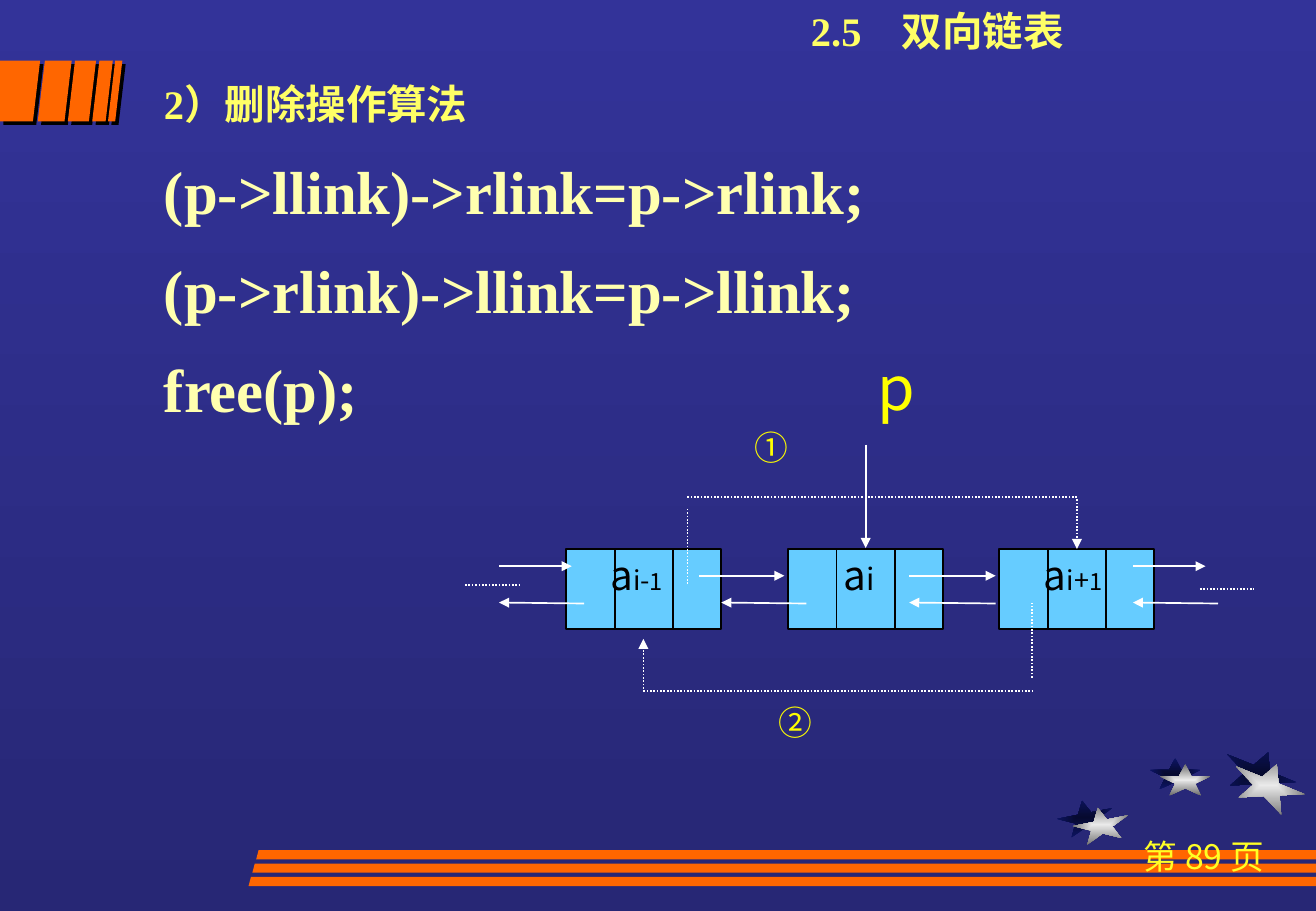
from lxml.etree import SubElement
from pptx import Presentation
from pptx.dml.color import RGBColor
from pptx.enum.dml import MSO_LINE
from pptx.enum.shapes import MSO_CONNECTOR, MSO_SHAPE
from pptx.enum.text import MSO_ANCHOR, MSO_AUTO_SIZE, PP_ALIGN
from pptx.oxml.ns import qn
from pptx.util import Cm, Pt

SLIDE_WIDTH, SLIDE_HEIGHT = 27.53, 19.05
SERIF, SANS = "Times New Roman", "Noto Sans CJK SC"
COLORS = {
    "sky": "333399", "night": "272775", "orange": "FF6600", "node": "66CCFF",
    "black": "000000", "white": "FFFFFF", "heading": "FFFF66", "code": "FFFFAF",
    "page": "FFFF25", "label": "FFFF00", "navy": "060A2F", "blue": "0D1565",
    "silver": "EAEAEA", "gray": "6C6C6C",
}


def color(name):
    return RGBColor.from_string(COLORS[name])


class SlideBuilder:
    """Draws styled elements on one slide; all lengths are in centimetres."""

    def __init__(self, presentation):
        self.slide = presentation.slides.add_slide(presentation.slide_layouts[5])
        self.shapes = self.slide.shapes

    def two_stops(self, fill, first, last):
        fill.gradient()
        for stop, name in zip(fill.gradient_stops, (first, last)):
            stop.color.rgb = color(name)

    def background(self, top, bottom):
        fill = self.slide.background.fill
        self.two_stops(fill, top, bottom)
        fill.gradient_angle = 270

    def add_runs(self, paragraph, runs, name, font=SERIF, bold=False):
        """Add (text, point size) runs in one colour and font."""
        for text, size in runs:
            run = paragraph.add_run()
            run.text = text
            run.font.size = Pt(size)
            run.font.bold = bold
            run.font.color.rgb = color(name)
            run.font.name = font
            SubElement(run.font._element, qn("a:ea"), typeface=SANS)

    def title(self, left, top, width, height, text, tab):
        shape = self.shapes.title
        shape.left, shape.top = Cm(left), Cm(top)
        shape.width, shape.height = Cm(width), Cm(height)
        frame = shape.text_frame
        frame.auto_size = MSO_AUTO_SIZE.NONE
        frame.vertical_anchor = MSO_ANCHOR.TOP
        paragraph = frame.paragraphs[0]
        paragraph.alignment = PP_ALIGN.LEFT
        tabs = SubElement(paragraph._p.get_or_add_pPr(), qn("a:tabLst"))
        SubElement(tabs, qn("a:tab"), pos=str(Cm(tab)), algn="l")
        self.add_runs(paragraph, [(text, 24)], "heading", bold=True)

    def text_box(self, left, top, width, height):
        box = self.shapes.add_textbox(Cm(left), Cm(top), Cm(width), Cm(height))
        box.text_frame.word_wrap = True
        return box.text_frame

    def label(self, left, top, width, height, runs, name, align=PP_ALIGN.LEFT):
        paragraph = self.text_box(left, top, width, height).paragraphs[0]
        paragraph.alignment = align
        self.add_runs(paragraph, runs, name, SANS)

    def code(self, left, top, width, height, heading, lines):
        frame = self.text_box(left, top, width, height)
        paragraph = frame.paragraphs[0]
        paragraph.line_spacing = 1.05
        self.add_runs(paragraph, [(heading, 24)], "heading", bold=True)
        for line in lines:
            paragraph = frame.add_paragraph()
            paragraph.line_spacing = 1.05
            paragraph.space_before = Pt(13.5)
            self.add_runs(paragraph, [(line, 36)], "code", bold=True)

    def star(self, left, top, width, height, rotation, first, last):
        shape = self.shapes.add_shape(
            MSO_SHAPE.STAR_5_POINT, Cm(left), Cm(top), Cm(width), Cm(height))
        shape.shadow.inherit = False
        shape.rotation = rotation
        shape.line.fill.background()
        self.two_stops(shape.fill, first, last)
        gradient = shape._element.spPr.find(qn("a:gradFill"))
        gradient.remove(gradient.find(qn("a:lin")))
        center = SubElement(gradient, qn("a:path"), path="rect")
        SubElement(center, qn("a:fillToRect"), l="50000", t="50000", r="50000", b="50000")

    def band(self, points, shadow=False):
        """Draw an orange outline, optionally with a hard black shadow."""
        corners = [(Cm(x), Cm(y)) for x, y in points]
        builder = self.shapes.build_freeform(*corners[0])
        builder.add_line_segments(corners[1:])
        shape = builder.convert_to_shape()
        shape.shadow.inherit = False
        shape.fill.solid()
        shape.fill.fore_color.rgb = color("orange")
        shape.line.fill.background()
        if shadow:
            effects = shape._element.spPr.find(qn("a:effectLst"))
            outer = SubElement(effects, qn("a:outerShdw"), dist=str(Pt(2.8)),
                               dir="2700000", algn="ctr", rotWithShape="0")
            SubElement(outer, qn("a:srgbClr"), val=COLORS["black"])

    def line(self, start, end, name="white", arrow=False, dotted=False):
        connector = self.shapes.add_connector(
            MSO_CONNECTOR.STRAIGHT, *(Cm(value) for value in (*start, *end)))
        connector.line.color.rgb = color(name)
        connector.line.width = Pt(1)
        if dotted:
            connector.line.dash_style = MSO_LINE.ROUND_DOT
        properties = connector._element.spPr
        if arrow:
            SubElement(properties.find(qn("a:ln")), qn("a:tailEnd"), type="triangle")
        SubElement(properties, qn("a:effectLst"))

    def node(self, left, top, width, height, dividers):
        shape = self.shapes.add_shape(
            MSO_SHAPE.RECTANGLE, Cm(left), Cm(top), Cm(width), Cm(height))
        shape.shadow.inherit = False
        shape.fill.solid()
        shape.fill.fore_color.rgb = color("node")
        shape.line.color.rgb = color("black")
        shape.line.width = Pt(1)
        for offset in dividers:
            x = left + offset
            self.line((x, top), (x, top + height), "black")


def draw_decoration(builder):
    stars = [  # width, height, rotation, dark position, light position
        (1.17, 0.71, 349, (22.12, 16.74), (22.45, 16.89)),
        (1.07, 0.66, 0, (24.05, 15.85), (24.26, 15.98)),
        (1.55, 0.94, 22, (25.58, 15.7), (25.76, 15.95)),
    ]
    for layer, shades in ((3, ("navy", "blue")), (4, ("silver", "gray"))):
        for star in stars:
            builder.star(*star[layer], *star[:3], *shades)

    top, bottom, slant = 1.27, 2.54, 0.15
    builder.band([(0, top), (0.84, top), (0.84 - slant, bottom), (0, bottom)], shadow=True)
    for left, width in ((0.94, 0.56), (1.57, 0.44), (2.08, 0.28), (2.41, 0.15)):
        right = left + width
        builder.band([(left, top), (left - slant, bottom),
                      (right - slant, bottom), (right, top)], shadow=True)

    for row in range(3):
        top, left = 17.78 + 0.28 * row, 5.41 - 0.08 * row
        builder.band([(left, top), (SLIDE_WIDTH, top),
                      (SLIDE_WIDTH, top + 0.19), (left - 0.05, top + 0.19)])


def draw_linked_list(builder):
    for left in (11.84, 16.48, 20.9):
        builder.node(left, 11.48, 3.25, 1.68, (1.02, 2.24))

    builder.line((18.11, 9.3), (18.11, 11.46), arrow=True)
    for start, end, y in ((10.44, 11.96, 11.84), (14.63, 16.41, 12.04),
                          (19.02, 20.83, 12.04), (23.7, 25.22, 11.84)):
        builder.line((start, y), (end, y), arrow=True)
    for start, end in ((12.22, 10.44), (16.87, 15.09), (20.83, 19.02), (25.48, 23.7)):
        builder.line((start, 12.62), (end, 12.6), arrow=True)

    for start, end, arrow in (
        ((9.73, 12.24), (10.9, 12.24), False),
        ((25.1, 12.32), (26.24, 12.32), False),
        ((14.38, 10.64), (14.38, 12.24), False),
        ((22.53, 10.39), (14.38, 10.39), False),
        ((22.53, 10.44), (22.53, 11.48), True),
        ((21.59, 14.17), (21.59, 12.6), False),
        ((13.46, 14.45), (21.59, 14.45), False),
        ((13.46, 14.4), (13.46, 13.36), True),
    ):
        builder.line(start, end, arrow=arrow, dotted=True)

    for left, width, subscript in (
        (12.52, 2.31, [("i-", 16), ("1", 14)]),
        (17.4, 1.4, [("i", 18)]),
        (21.59, 2.57, [("i+", 16), ("1", 14)]),
    ):
        builder.label(left, 11.38, width, 1.27, [("a", 24), *subscript], "black")
    for left, top, height, text, size in (
        (18.11, 7.19, 1.78, "p", 36),
        (15.54, 8.81, 1.12, "①", 20),
        (16.03, 14.55, 1.12, "②", 20),
    ):
        builder.label(left, top, 1.4, height, [(text, size)], "label")


def main():
    presentation = Presentation()
    presentation.slide_width = Cm(SLIDE_WIDTH)
    presentation.slide_height = Cm(SLIDE_HEIGHT)
    builder = SlideBuilder(presentation)
    builder.background("sky", "night")
    draw_decoration(builder)
    builder.label(22.86, 17.35, 4.65, 2.13, [("第 89 页", 20)], "page", PP_ALIGN.CENTER)
    builder.title(16.71, 0, 9.96, 1.47, "2.5\t双向链表", tab=1.9)
    builder.code(3.18, 1.47, 20.12, 7.32, "2）删除操作算法", (
        "(p->llink)->rlink=p->rlink;",
        "(p->rlink)->llink=p->llink;",
        "free(p);",
    ))
    draw_linked_list(builder)
    presentation.save("out.pptx")


if __name__ == "__main__":
    main()
